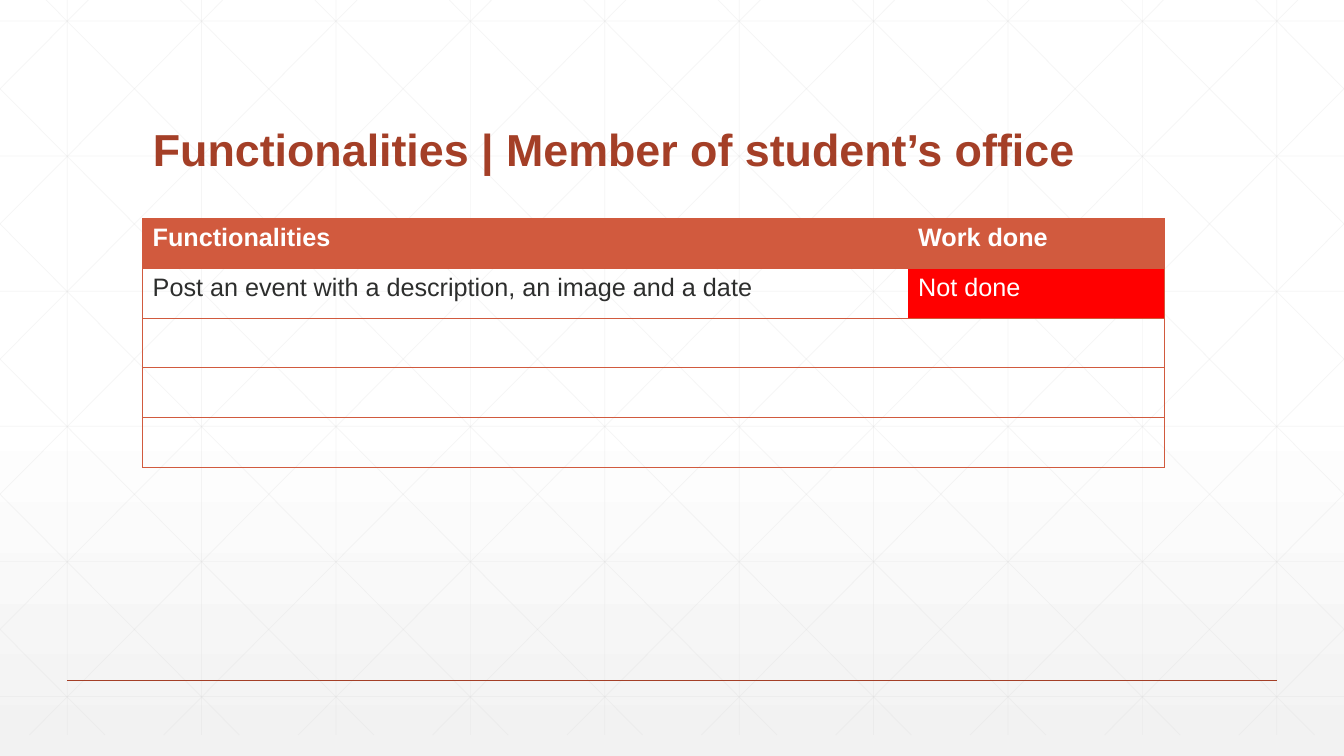
from dataclasses import dataclass

from lxml import etree
from pptx import Presentation
from pptx.dml.color import RGBColor
from pptx.enum.shapes import MSO_CONNECTOR
from pptx.enum.text import MSO_ANCHOR, MSO_AUTO_SIZE, PP_ALIGN
from pptx.oxml.ns import qn
from pptx.util import Pt

STRAIGHT = MSO_CONNECTOR.STRAIGHT
LEFT = PP_ALIGN.LEFT
BOTTOM = MSO_ANCHOR.BOTTOM
NO_AUTOFIT = MSO_AUTO_SIZE.NONE

COLORS = {
    "white": "FFFFFF",
    "shade": "F2F2F2",
    "grid": "D9D9D9",
    "rust": "A43F27",
    "orange": "D15A3E",
    "red": "FF0000",
    "ink": "2D2E2D",
}
FONT = "Arial"
WIDTH, HEIGHT = 960, 540
STEP = 96
GRID_TOP, GRID_BOTTOM = -15, 525
DIAGONAL_RUN = 537
NO_GRID_STYLE = "{2D5ABB26-0587-4C30-8999-92F81FD0307C}"


@dataclass
class Line:
    x1: float
    y1: float
    x2: float
    y2: float
    color: str = "grid"
    weight: float = 0.5
    opacity: int = 25


@dataclass
class Cell:
    text: str = ""
    color: str = "ink"
    bold: bool = False
    fill: str = ""


ROWS = [
    [Cell("Functionalities", "white", True, "orange"),
     Cell("Work done", "white", True, "orange")],
    [Cell("Post an event with a description, an image and a date"),
     Cell("Not done", "white", fill="red")],
    *[[Cell(), Cell()] for _ in range(3)],
]
COLUMN_WIDTHS = [546.7, 183.1]
ROW_HEIGHT = 35.55


def rgb(name: str) -> RGBColor:
    return RGBColor.from_string(COLORS[name])


def write(tf, text: str, *, size: float, color: str, bold: bool = False,
          spacing: float = 1.0) -> None:
    p = tf.paragraphs[0]
    p.alignment = LEFT
    p.line_spacing = spacing
    p.font.size = Pt(size)
    if text:
        r = p.add_run()
        r.text = text
        r.font.name = FONT
        r.font.size = Pt(size)
        r.font.bold = bold
        r.font.color.rgb = rgb(color)


def draw_line(s, line: Line) -> None:
    sp = s.shapes.add_connector(STRAIGHT, Pt(line.x1), Pt(line.y1), Pt(line.x2), Pt(line.y2))
    sp.line.color.rgb = rgb(line.color)
    sp.line.width = Pt(line.weight)
    properties = sp._element.spPr
    if line.opacity < 100:
        color = properties.find(".//" + qn("a:srgbClr"))
        etree.SubElement(color, qn("a:alpha"), val=str(line.opacity * 1000))
    etree.SubElement(properties, qn("a:effectLst"))


def diagonal(start: float) -> Line:
    slope = (GRID_BOTTOM - GRID_TOP) / DIAGONAL_RUN
    x1 = max(0, start - GRID_TOP / slope)
    x2 = min(WIDTH, start + DIAGONAL_RUN)
    return Line(x1, GRID_TOP + (x1 - start) * slope, x2, GRID_TOP + (x2 - start) * slope)


def grid_lines() -> list[Line]:
    verticals = [Line(x, 0, x, GRID_BOTTOM) for x in range(48, WIDTH, STEP)]
    horizontals = [Line(0, y, WIDTH, y) for y in (15 + 96.5 * i for i in range(6))]
    falling = [diagonal(18 + STEP * i) for i in range(-5, 10)]
    rising = [Line(WIDTH - d.x1, d.y1, WIDTH - d.x2, d.y2) for d in falling]
    return verticals + horizontals + falling + rising


def add_border(cell, side: str) -> None:
    properties = cell._tc.get_or_add_tcPr()
    ln = etree.SubElement(properties, qn(f"a:ln{side}"), w=str(Pt(0.5)))
    fill = etree.SubElement(ln, qn("a:solidFill"))
    etree.SubElement(fill, qn("a:srgbClr"), val=COLORS["orange"])


def draw_table(s, left: float, top: float) -> None:
    frame = s.shapes.add_table(len(ROWS), len(COLUMN_WIDTHS), Pt(left), Pt(top),
                               Pt(sum(COLUMN_WIDTHS)), Pt(ROW_HEIGHT * len(ROWS)))
    table = frame.table
    table.horz_banding = False
    frame._element.find(".//" + qn("a:tableStyleId")).text = NO_GRID_STYLE
    for column, width in zip(table.columns, COLUMN_WIDTHS):
        column.width = Pt(width)
    for i, row in enumerate(ROWS):
        table.rows[i].height = Pt(ROW_HEIGHT)
        for j, item in enumerate(row):
            cell = table.cell(i, j)
            for side in ("L" if j == 0 else "R", "T", "B"):
                add_border(cell, side)
            if item.fill:
                cell.fill.solid()
                cell.fill.fore_color.rgb = rgb(item.fill)
            else:
                cell.fill.background()
            write(cell.text_frame, item.text, size=18, color=item.color, bold=item.bold)


def paint_background(s) -> None:
    fill = s.background.fill
    fill.gradient()
    fill.gradient_angle = 270
    for stop, position, color in zip(fill.gradient_stops, (0.53, 1), ("white", "shade")):
        stop.position = position
        stop.color.rgb = rgb(color)


def place_title(s) -> None:
    title = s.shapes.title
    title.left, title.top, title.width, title.height = Pt(102), Pt(39.6), Pt(756), Pt(90)
    tf = title.text_frame
    tf.word_wrap = True
    tf.auto_size = NO_AUTOFIT
    tf.vertical_anchor = BOTTOM
    write(tf, "Functionalities | Member of student’s office",
          size=32, color="rust", bold=True, spacing=0.9)
    s.shapes._spTree.append(title._element)


def main() -> None:
    prs = Presentation()
    prs.slide_width, prs.slide_height = Pt(WIDTH), Pt(HEIGHT)
    s = prs.slides.add_slide(prs.slide_layouts[5])
    paint_background(s)
    for line in grid_lines():
        draw_line(s, line)
    draw_line(s, Line(48, 486, 912, 486, "rust", 1, 100))
    place_title(s)
    draw_table(s, 101.9, 156)
    prs.save("out.pptx")


if __name__ == "__main__":
    main()
